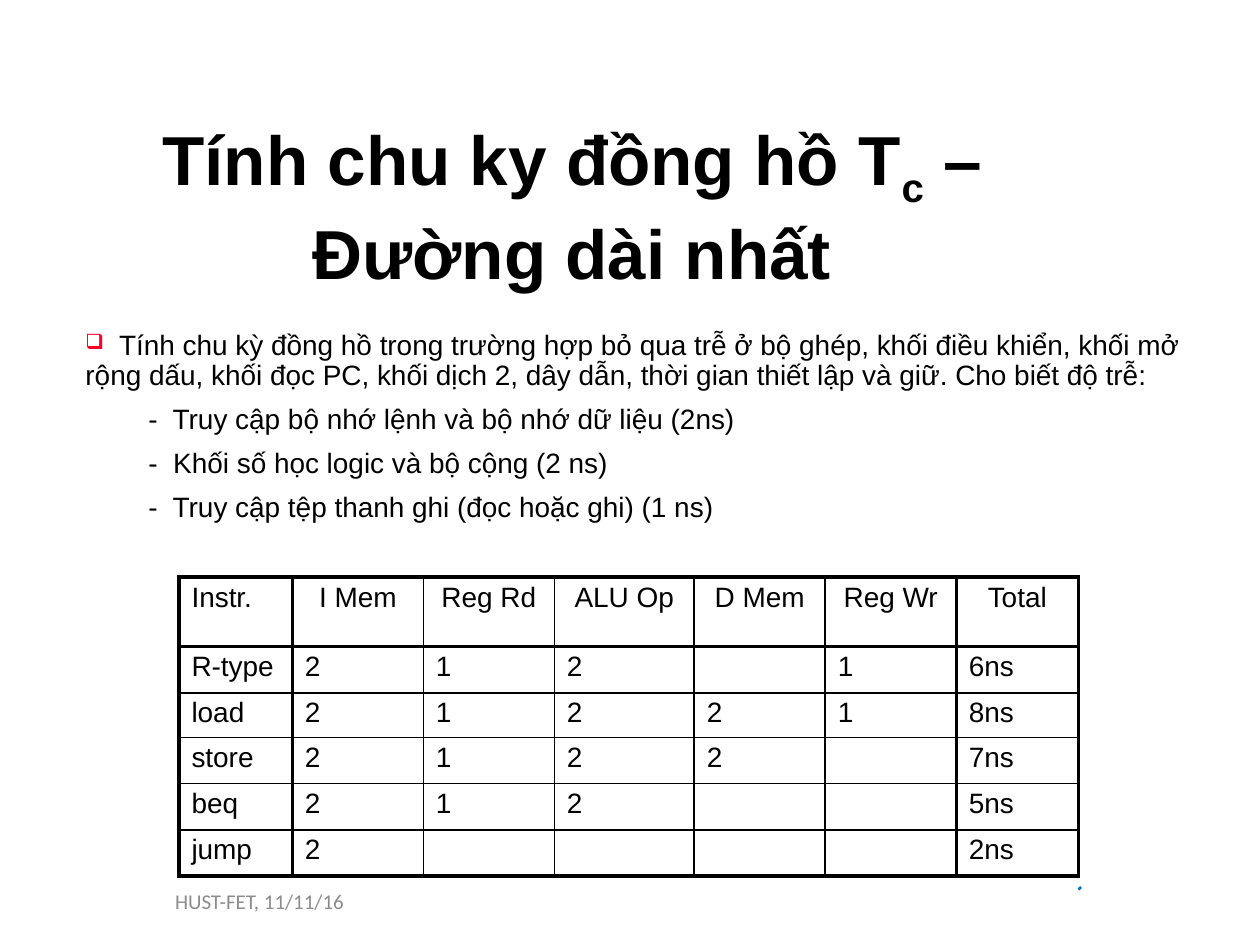
import pptx
import pptx.dml.color
import pptx.enum.text
import pptx.oxml
import pptx.oxml.ns
import pptx.util
from lxml import etree

Inches, Pt = pptx.util.Inches, pptx.util.Pt
ALIGN = pptx.enum.text.PP_ALIGN
MIDDLE = pptx.enum.text.MSO_ANCHOR.MIDDLE
qn = pptx.oxml.ns.qn

DELAYS = [
    "-  Truy cập bộ nhớ lệnh và bộ nhớ dữ liệu (2ns)",
    "-  Khối số học logic và bộ cộng (2 ns)",
    "-  Truy cập tệp thanh ghi (đọc hoặc ghi) (1 ns)",
]
TIMING = [
    ["Instr.", "I Mem", "Reg Rd", "ALU Op", "D Mem", "Reg Wr", "Total"],
    ["R-type", "2", "1", "2", "", "1", "6ns"],
    ["load", "2", "1", "2", "2", "1", "8ns"],
    ["store", "2", "1", "2", "2", "", "7ns"],
    ["beq", "2", "1", "2", "", "", "5ns"],
    ["jump", "2", "", "", "", "", "2ns"],
]
COL_WIDTHS = [0.9, 1.04, 1.04, 1.11, 1.04, 1.04, 0.97]
ROW_HEIGHTS = [0.55, 0.37] + [0.345] * 4


def rgb(color):
    return pptx.dml.color.RGBColor.from_string(color)


def add_text(p, text, size=16, font="Arial", color="000000", bold=False, baseline=0):
    r = p.add_run()
    r.text = text
    r.font.size, r.font.name, r.font.bold = Pt(size), font, bold
    r.font.color.rgb = rgb(color)
    if baseline:
        r.font._element.set("baseline", str(baseline * 1000))


def format_paragraph(p, align=ALIGN.LEFT, line=1.0, before=0):
    p.alignment, p.line_spacing, p.space_before = align, line, Pt(before)


def add_box(s, left, top, width, height, anchor=None):
    sp = s.shapes.add_textbox(Inches(left), Inches(top), Inches(width), Inches(height))
    tf = sp.text_frame
    tf.word_wrap = True
    if anchor is not None:
        tf.vertical_anchor = anchor
    return tf


def add_bullet(p, char, color, percent):
    pPr = p._p.get_or_add_pPr()
    clr = etree.SubElement(pPr, qn("a:buClr"))
    etree.SubElement(clr, qn("a:srgbClr"), val=color)
    etree.SubElement(pPr, qn("a:buSzPct"), val=str(percent * 1000))
    etree.SubElement(pPr, qn("a:buChar"), char=char)


def add_title(s):
    p = add_box(s, 0.5, 1, 8.08, 1.25, MIDDLE).paragraphs[0]
    format_paragraph(p, ALIGN.CENTER)
    for text, baseline in [("Tính chu ky đồng hồ T", 0), ("c", -25), (" – Đường dài nhất", 0)]:
        add_text(p, text, size=39.6, bold=True, baseline=baseline)


def add_body(s):
    tf = add_box(s, 0.58, 2.58, 9.25, 1.68)
    p = tf.paragraphs[0]
    format_paragraph(p, line=0.9, before=8.7)
    add_bullet(p, "❑", "FC0128", 75)
    add_text(p, "  Tính chu kỳ đồng hồ trong trường hợp bỏ qua trễ ở bộ ghép, khối điều khiển, "
                "khối mở rộng dấu, khối đọc PC, khối dịch 2, dây dẫn, thời gian thiết lập và giữ. "
                "Cho biết độ trễ:")
    for delay in DELAYS:
        p = tf.add_paragraph()
        format_paragraph(p, line=0.85, before=8.7)
        p.level = 1
        pPr = p._p.get_or_add_pPr()
        pPr.set("marL", str(Inches(0.5)))
        pPr.set("indent", "0")
        add_text(p, delay)


def set_borders(cell, **widths):
    tcPr = cell._tc.get_or_add_tcPr()
    for side in "LRTB":
        ln = etree.SubElement(tcPr, qn("a:ln" + side), w=str(Pt(widths[side])))
        fill = etree.SubElement(ln, qn("a:solidFill"))
        etree.SubElement(fill, qn("a:srgbClr"), val="000000")


def rule_width(index, count):
    """Heavy rules frame the grid and set off its header."""
    return 2.25 if index in (0, 1, count) else 1


def add_timing_table(s):
    n_rows, n_cols = len(TIMING), len(TIMING[0])
    table = s.shapes.add_table(n_rows, n_cols, Inches(1.42), Inches(4.58),
                               Inches(sum(COL_WIDTHS)), Inches(sum(ROW_HEIGHTS))).table
    table.first_row = table.horz_banding = False
    for column, width in zip(table.columns, COL_WIDTHS):
        column.width = Inches(width)
    for row, height in zip(table.rows, ROW_HEIGHTS):
        row.height = Inches(height)
    vertical = [rule_width(i, n_cols) for i in range(n_cols + 1)]
    vertical[n_cols - 1] = 2.25  # sets off the Total column
    horizontal = [rule_width(i, n_rows) for i in range(n_rows + 1)]
    for i, values in enumerate(TIMING):
        for j, value in enumerate(values):
            cell = table.cell(i, j)
            set_borders(cell, L=vertical[j], R=vertical[j + 1],
                        T=horizontal[i], B=horizontal[i + 1])
            cell.fill.background()
            p = cell.text_frame.paragraphs[0]
            format_paragraph(p, ALIGN.CENTER if i == 0 and j > 0 else ALIGN.LEFT, 0.95, 4)
            if value:
                add_text(p, value)
            else:
                etree.SubElement(p._p, qn("a:endParaRPr"), sz="1600")


def add_footer(s):
    p = add_box(s, 0.5, 6.95, 2.33, 0.4, MIDDLE).paragraphs[0]
    format_paragraph(p, ALIGN.RIGHT)
    add_text(p, "HUST-FET, 11/11/16", size=12, font="Calibri", color="8C8C8C")


def add_pen_stroke(s):
    builder = s.shapes.build_freeform(Inches(8.58), Inches(7.04))
    builder.add_line_segments([(Inches(8.57), Inches(7.05)), (Inches(8.56), Inches(7.06))],
                              close=False)
    sp = builder.convert_to_shape()
    sp.shadow.inherit = False
    sp.fill.background()
    sp.line.color.rgb = rgb("0070C0")
    sp.line.width = Pt(1.5)


def main():
    prs = pptx.Presentation()
    prs.slide_width, prs.slide_height = Inches(10), Inches(7.5)
    s = prs.slides.add_slide(prs.slide_layouts[6])
    add_title(s)
    add_footer(s)
    add_timing_table(s)
    add_body(s)
    add_pen_stroke(s)
    prs.save("out.pptx")


if __name__ == "__main__":
    main()
